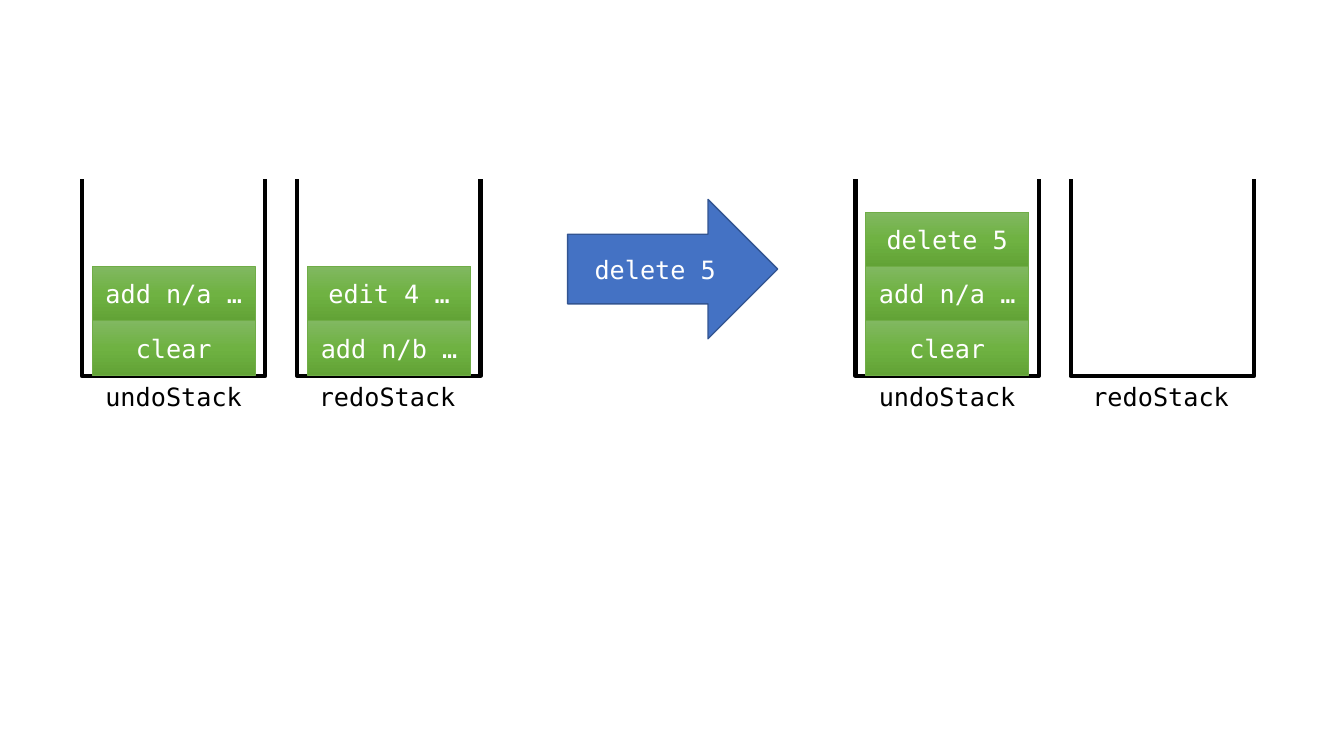
from copy import deepcopy
from dataclasses import dataclass
from pptx import Presentation
from pptx.dml.color import RGBColor
from pptx.enum import shapes, text
from pptx.util import Pt


@dataclass(frozen=True)
class Theme:
    """Colours, font and type size of the slide."""
    font: str = "DejaVu Sans Mono"
    size: int = 18
    ink: str = "000000"
    paper: str = "FFFFFF"
    arrow: str = "4472C4"
    edge: str = "325491"
    leaf: str = "70AD47"
    fade: tuple = ((0, "81B861"), (0.5, "6FB242"), (1, "62A336"))


THEME = Theme()
KIND = shapes.MSO_SHAPE
WIDE, HIGH = 131, 152.6    # one stack
STEP = 153.8               # from undo stack to redo stack
SLOT, TALL = 116.6, 38.9   # one command in a stack


def write(shape, words, color=THEME.paper, anchor=text.MSO_ANCHOR.MIDDLE):
    """Put one centred line of text into a shape."""
    frame = shape.text_frame
    frame.word_wrap = True
    frame.vertical_anchor = anchor
    line = frame.paragraphs[0]
    line.alignment = text.PP_ALIGN.CENTER
    run = line.add_run()
    run.text = words
    run.font.name = THEME.font
    run.font.size = Pt(THEME.size)
    run.font.color.rgb = RGBColor.from_string(color)


def draw(home, box, fill, line, width, kind=KIND.RECTANGLE):
    """Add a preset shape; fill is a colour or a series of gradient stops."""
    shape = home.add_shape(kind, *map(Pt, box))
    shape.shadow.inherit = False
    shape.line.color.rgb = RGBColor.from_string(line)
    shape.line.width = Pt(width)
    if isinstance(fill, str):
        shape.fill.solid()
        shape.fill.fore_color.rgb = RGBColor.from_string(fill)
    else:
        blend(shape.fill, shape._element.spPr, fill)
    return shape


def blend(fill, props, fade):
    """Apply a top-to-bottom gradient with the given stops."""
    fill.gradient()
    fill.gradient_angle = 270
    first = props.find(".//{*}gs")
    for _ in fade[2:]:
        first.addnext(deepcopy(first))
    for stop, (place, color) in zip(fill.gradient_stops, fade):
        stop.position = place
        stop.color.rgb = RGBColor.from_string(color)


def stack(home, left, top, name, cmds, shift=0):
    """Draw an open-topped stack, its label and its commands, bottom first."""
    group = home.add_group_shape().shapes
    draw(group, (left, top, WIDE, HIGH), THEME.paper, THEME.ink, 3)
    draw(group, (left - 11, top - 7.2, 150.5, 18.7), THEME.paper, THEME.paper, 1)
    label = home.add_textbox(*map(Pt, (left + shift, top + HIGH, WIDE, 29)))
    write(label, name, color=THEME.ink, anchor=text.MSO_ANCHOR.TOP)
    for row, cmd in enumerate(cmds, 1):
        box = left + 7.3, top + HIGH - 0.5 - row * TALL, SLOT, TALL
        write(draw(home, box, THEME.fade, THEME.leaf, 0.5), cmd)


def state(home, left, top, undo, redo):
    """Draw the undo and redo stacks side by side."""
    stack(home, left, top, "undoStack", undo)
    stack(home, left + STEP, top, "redoStack", redo, shift=-1.3)


def action(home, box, cmd):
    """Draw the arrow that carries a command between two states."""
    arrow = draw(home, box, THEME.arrow, THEME.edge, 1, KIND.RIGHT_ARROW)
    write(arrow, cmd)


def main():
    """Build and save the slide."""
    deck = Presentation()
    deck.slide_width, deck.slide_height = Pt(960), Pt(540)
    home = deck.slides.add_slide(deck.slide_layouts[6]).shapes
    past = ["clear", "add n/a …"]
    cmd = "delete 5"
    state(home, 58.5, 116, past, ["add n/b …", "edit 4 …"])
    action(home, (405.5, 142.5, 150, 99.5), cmd)
    state(home, 611, 116, past + [cmd], [])
    deck.save("out.pptx")


main()
